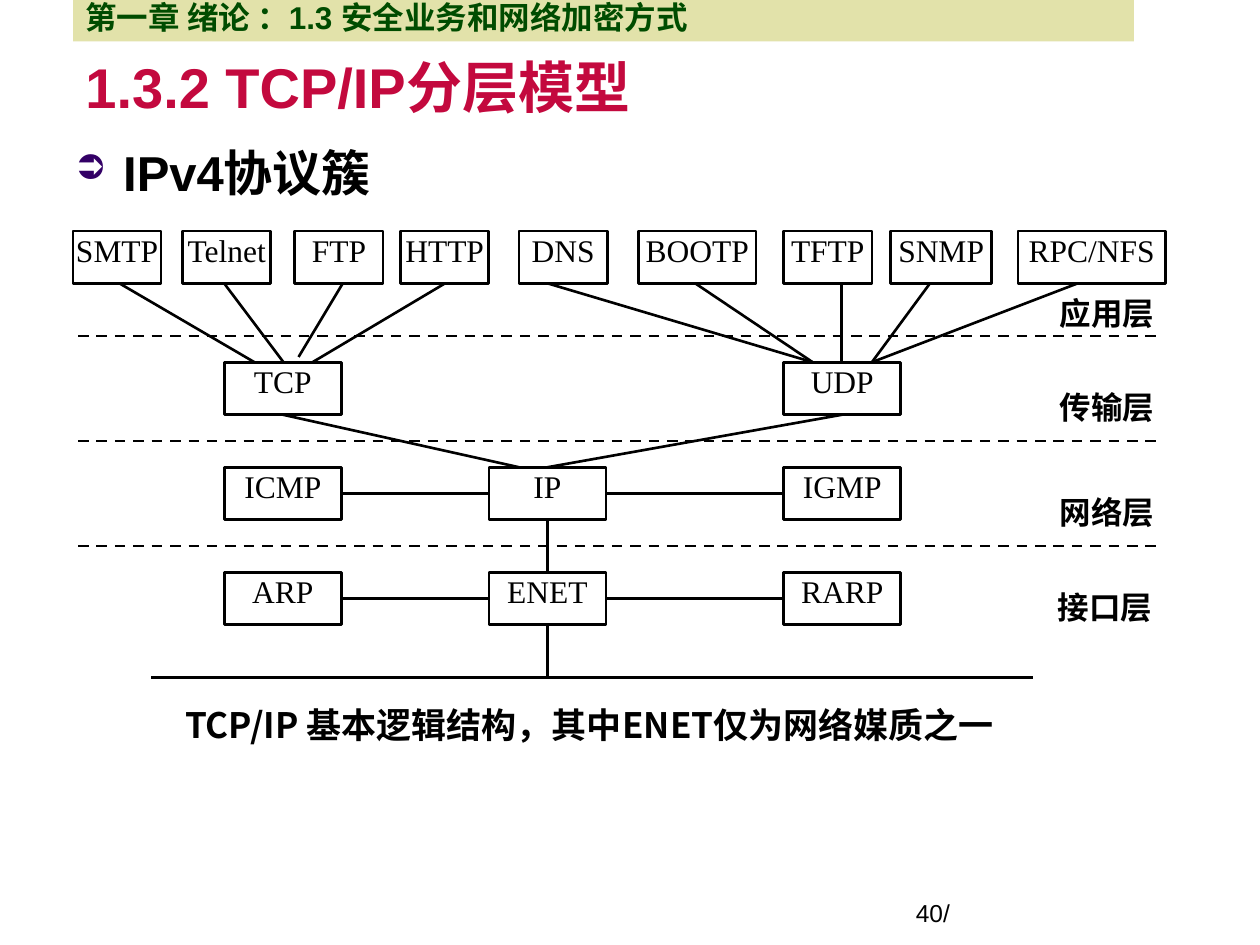
from lxml import etree
from pptx import Presentation
from pptx import util as u
from pptx.dml.color import RGBColor
from pptx.enum import dml, shapes, text
from pptx.oxml.ns import qn

BLACK = RGBColor(0x00, 0x00, 0x00)
WHITE = RGBColor(0xFF, 0xFF, 0xFF)
CRIMSON = RGBColor(0xC3, 0x09, 0x3E)
GREEN = RGBColor(0x00, 0x4C, 0x00)
SAND = RGBColor(0xE2, 0xE2, 0xAA)
SERIF, SANS, CHINESE = "Times New Roman", "Arial", "Noto Sans CJK SC"

# Diagram rows are one box height apart, counted from the top of the protocol boxes.
ROW = 5 / 12
DIAGRAM_TOP = 4.4 * ROW
APPLICATION, TRANSPORT, NETWORK, INTERFACE, MEDIUM = 0, 2.5, 4.5, 6.5, 8.5
LEFT, MIDDLE, RIGHT = 1.78, 3.88, 6.22
NODE_WIDTH = 0.93

presentation = Presentation()
presentation.slide_width = u.Inches(10)
presentation.slide_height = u.Inches(7.5)
slide = presentation.slides.add_slide(presentation.slide_layouts[6])


def add_text(words, box, size, font=SANS, color=BLACK, bold=False, fill=None,
             outlined=False, anchor=text.MSO_ANCHOR.TOP, inset=None, centered=False):
    """Add a rectangle with one paragraph and return that paragraph."""
    shape = slide.shapes.add_shape(shapes.MSO_SHAPE.RECTANGLE, *map(u.Inches, box))
    shape.shadow.inherit = False
    if fill is None:
        shape.fill.background()
    else:
        shape.fill.solid()
        shape.fill.fore_color.rgb = fill
    if outlined:
        shape.line.color.rgb = BLACK
        shape.line.width = u.Pt(1.5)
    else:
        shape.line.fill.background()
    frame = shape.text_frame
    frame.word_wrap = True
    frame.vertical_anchor = anchor
    if inset is not None:
        frame.margin_left = frame.margin_right = u.Inches(inset)
        frame.margin_top = frame.margin_bottom = u.Inches(inset)
    paragraph = frame.paragraphs[0]
    paragraph.alignment = text.PP_ALIGN.CENTER if centered else text.PP_ALIGN.LEFT
    run = paragraph.add_run()
    run.text = words
    run.font.size, run.font.name, run.font.bold = u.Pt(size), font, bold
    run.font.color.rgb = color
    etree.SubElement(run.font._element, qn("a:ea"), typeface=CHINESE)
    return paragraph


def add_line(x1, row1, x2, row2, dashed=False):
    """Draw a line between two points given as inches across and rows down."""
    line = slide.shapes.add_connector(
        shapes.MSO_CONNECTOR.STRAIGHT,
        u.Inches(x1), u.Inches(DIAGRAM_TOP + row1 * ROW),
        u.Inches(x2), u.Inches(DIAGRAM_TOP + row2 * ROW))
    line.line.color.rgb = BLACK
    line.line.width = u.Pt(1.5)
    if dashed:
        line.line.dash_style = dml.MSO_LINE.DASH
    etree.SubElement(line._element.spPr, qn("a:effectLst"))


# Headings and page number
add_text("1.3.2 TCP/IP分层模型", (0.58, 0.42, 8.42, 0.58), 32, color=CRIMSON,
         bold=True, anchor=text.MSO_ANCHOR.BOTTOM)
topic = add_text("IPv4协议簇", (0.5, 1.08, 9.17, 1.5), 28, bold=True)
topic.space_before = u.Pt(6)
properties = topic._p.get_or_add_pPr()
properties.set("marL", str(u.Inches(0.38)))
properties.set("indent", str(u.Inches(-0.38)))
bullet_color = etree.SubElement(properties, qn("a:buClr"))
etree.SubElement(bullet_color, qn("a:srgbClr"), val="330066")
etree.SubElement(properties, qn("a:buSzPct"), val="70000")
etree.SubElement(properties, qn("a:buChar"), char="➲")
add_text("40/", (7.17, 7.08, 2.33, 0.33), 14)
add_text("第一章 绪论 ：1.3 安全业务和网络加密方式", (0.58, 0, 8.42, 0.33), 18,
         color=GREEN, bold=True, fill=SAND, anchor=text.MSO_ANCHOR.BOTTOM)

# Caption and layer names
add_text("TCP/IP 基本逻辑结构，其中ENET仅为网络媒质之一",
         (1.28, DIAGRAM_TOP + 9 * ROW, 6.8, ROW), 20, CHINESE,
         bold=True, fill=WHITE, inset=0, centered=True)
for name, left, row, width in (("应用层", 8.2, 1.2, 1.17), ("传输层", 8.2, 3, 1.17),
                               ("网络层", 8.2, 5, 1.17), ("接口层", 8.38, 6.8, 0.78)):
    add_text(name, (left, DIAGRAM_TOP + row * ROW, width, ROW), 18, SERIF,
             bold=True, fill=WHITE, inset=0, centered=True)

# Protocol boxes
protocols = [
    ("SMTP", 0.58, APPLICATION, 0.7), ("Telnet", 1.45, APPLICATION, 0.7),
    ("FTP", 2.34, APPLICATION, 0.7), ("HTTP", 3.18, APPLICATION, 0.7),
    ("DNS", 4.12, APPLICATION, 0.7), ("BOOTP", 5.07, APPLICATION, NODE_WIDTH),
    ("TFTP", 6.22, APPLICATION, 0.7), ("SNMP", 7.07, APPLICATION, 0.8),
    ("RPC/NFS", 8.08, APPLICATION, 1.17),
]
layers = (
    (TRANSPORT, (("TCP", LEFT), ("UDP", RIGHT))),
    (NETWORK, (("ICMP", LEFT), ("IP", MIDDLE), ("IGMP", RIGHT))),
    (INTERFACE, (("ARP", LEFT), ("ENET", MIDDLE), ("RARP", RIGHT))),
)
for row, nodes in layers:
    protocols += [(name, left, row, NODE_WIDTH) for name, left in nodes]
for name, left, row, width in protocols:
    add_text(name, (left, DIAGRAM_TOP + row * ROW, width, ROW), 18, SERIF,
             fill=WHITE, outlined=True, inset=0, centered=True)

# Layer borders and the medium
for row in (2, 4, 6):
    add_line(0.62, row, 9.2, row, dashed=True)
add_line(1.2, MEDIUM, 8.2, MEDIUM)

# Application protocols down to TCP and UDP
for bottom_x, top_x in ((2.02, 0.95), (2.25, 1.78), (2.48, 3.53), (6.45, 4.35),
                        (6.45, 5.52), (6.68, 6.68), (6.92, 7.38), (6.92, 8.55)):
    add_line(bottom_x, TRANSPORT, top_x, APPLICATION + 1)
add_line(2.37, 2.4, 2.72, APPLICATION + 1)

# TCP and UDP to IP, then down to the medium
center = MIDDLE + NODE_WIDTH / 2
add_line(4.12, NETWORK, LEFT + NODE_WIDTH / 2, TRANSPORT + 1)
add_line(center, NETWORK, RIGHT + NODE_WIDTH / 2, TRANSPORT + 1)
add_line(center, INTERFACE, center, NETWORK + 1)
add_line(center, INTERFACE + 1, center, MEDIUM)

# Side links within a layer
for row in (NETWORK + 0.5, INTERFACE + 0.5):
    add_line(MIDDLE, row, LEFT + NODE_WIDTH, row)
    add_line(MIDDLE + NODE_WIDTH, row, RIGHT, row)

presentation.save("out.pptx")
